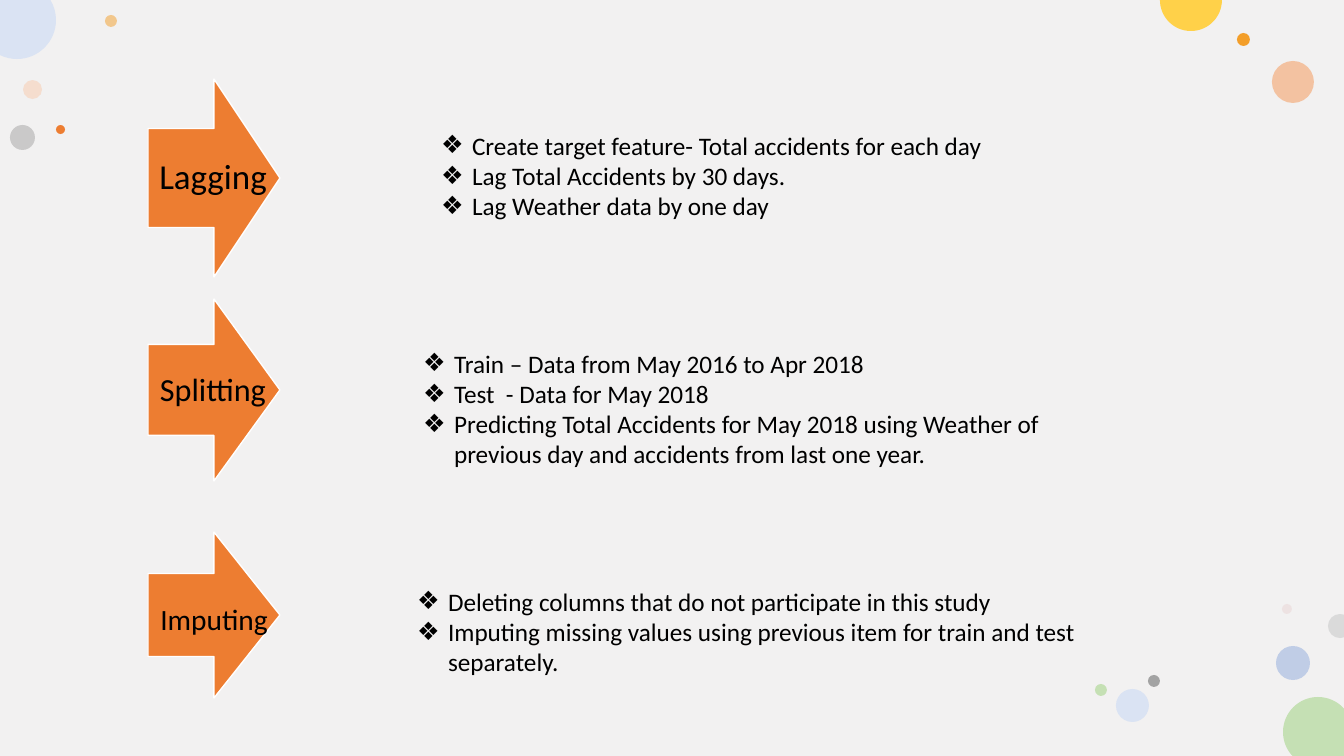
"""Build the slide on lagging, splitting and imputing the accident data."""
import math

import lxml.etree
import pptx
import pptx.dml.color
import pptx.enum.shapes
import pptx.enum.text
import pptx.oxml.ns
import pptx.util

RGBColor = pptx.dml.color.RGBColor
MSO_SHAPE = pptx.enum.shapes.MSO_SHAPE
MSO_ANCHOR = pptx.enum.text.MSO_ANCHOR
PP_ALIGN = pptx.enum.text.PP_ALIGN
Pt = pptx.util.Pt
qn = pptx.oxml.ns.qn

BACKGROUND = RGBColor(0xF2, 0xF1, 0xF1)
BLACK = RGBColor(0x00, 0x00, 0x00)
WHITE = RGBColor(0xFF, 0xFF, 0xFF)
ORANGE = RGBColor(0xED, 0x7D, 0x31)
AMBER = RGBColor(0xF3, 0x9E, 0x29)
YELLOW = RGBColor(0xFF, 0xD1, 0x49)
PEACH = RGBColor(0xF8, 0xCB, 0xAD)
SALMON = RGBColor(0xF4, 0xB1, 0x83)
ROSE = RGBColor(0xE3, 0xBE, 0xBE)
BLUE = RGBColor(0x8F, 0xAA, 0xDC)
PALE_BLUE = RGBColor(0xDA, 0xE3, 0xF3)
GREEN = RGBColor(0xC5, 0xE0, 0xB4)
GRAY = RGBColor(0xA3, 0xA3, 0xA3)
PALE_GRAY = RGBColor(0xDA, 0xDA, 0xDA)

FONT = "Calibri"
WIDTH, HEIGHT = 1344, 756
ARROW_LEFT, ARROW_WIDTH = 148, 132
LABEL_WIDTH, LABEL_HEIGHT = 108, 60
LIST_WIDTH, LIST_SIZE, INDENT = 681, 18, 31

STEPS = [
    {"label": "Lagging", "size": 25, "arrow": (79, 198), "label_center": (213, 178),
     "list_at": (431, 125, 163),
     "points": ["Create target feature- Total accidents for each day",
                "Lag Total Accidents by 30 days.",
                "Lag Weather data by one day"]},
    {"label": "Splitting", "size": 23, "arrow": (299, 182), "label_center": (213, 391),
     "list_at": (413, 343, 194),
     "points": ["Train – Data from May 2016 to Apr 2018",
                "Test  - Data for May 2018",
                "Predicting Total Accidents for May 2018 using Weather of "
                "previous day and accidents from last one year."]},
    {"label": "Imputing", "size": 21, "arrow": (532, 166), "label_center": (214, 621),
     "list_at": (407, 581, 163),
     "points": ["Deleting columns that do not participate in this study",
                "Imputing missing values using previous item for train and test "
                "separately."]},
]

BUBBLES = [
    (23, 80, 19, PEACH, 50), (105, 15, 12, AMBER, 50),
    (1276, 646, 34, BLUE, 50), (10, 125, 25, GRAY, 50),
    (1272, 61, 42, SALMON, 72), (1237, 33, 13, AMBER, 100),
    (1282, 604, 10, ROSE, 28), (1148, 675, 12, GRAY, 100),
    (1116, 689, 33, PALE_BLUE, 100), (1095, 684, 12, GREEN, 100),
    (56, 125, 9, ORANGE, 100),
]

EDGE_BUBBLES = [
    {"center": (1318, 732), "radius": 35, "angles": (137, 180, 270, 318),
     "corners": [(WIDTH, HEIGHT)], "color": GREEN},
    {"center": (17, 20), "radius": 39, "angles": (-31, 0, 90, 116),
     "corners": [(0, 0)], "color": PALE_BLUE},
    {"center": (1191, 0), "radius": 31, "angles": (0, 90, 180),
     "corners": [], "color": YELLOW},
    {"center": (1340, 626), "radius": 12, "angles": (71, 90, 180, 270, 289),
     "corners": [], "color": PALE_GRAY},
]


def px(length):
    return round(length * 914400 / 100.8)


def paint(shape, color):
    shape.shadow.inherit = False
    shape.fill.solid()
    shape.fill.fore_color.rgb = color
    shape.line.fill.background()


def style(paragraph, size):
    for run in paragraph.runs:
        run.font.name, run.font.size, run.font.bold = FONT, Pt(size), False
        run.font.color.rgb = BLACK


def add_bubble(slide, left, top, diameter, color, opacity):
    bubble = slide.shapes.add_shape(
        MSO_SHAPE.OVAL, px(left), px(top), px(diameter), px(diameter))
    paint(bubble, color)
    if opacity < 100:
        srgb = bubble.element.spPr.find(".//" + qn("a:srgbClr"))
        lxml.etree.SubElement(srgb, qn("a:alpha"), val=str(opacity * 1000))


def add_edge_bubble(slide, center, radius, angles, corners, color):
    def on_circle(degrees, pull=0):
        angle = math.radians(degrees)
        cos, sin = math.cos(angle), math.sin(angle)
        return (px(center[0] + radius * (cos - pull * sin)),
                px(center[1] + radius * (sin + pull * cos)))

    stops = [on_circle(angle) for angle in angles]
    builder = slide.shapes.build_freeform(*stops[0])
    builder.add_line_segments(
        stops[1:] + [(px(x), px(y)) for x, y in corners], close=True)
    bubble = builder.convert_to_shape()
    paint(bubble, color)

    lines = bubble.element.findall(".//" + qn("a:lnTo"))
    for line, start, end in zip(lines, angles, angles[1:]):
        pull = 4 / 3 * math.tan(math.radians(end - start) / 4)
        curve = lxml.etree.Element(qn("a:cubicBezTo"))
        for x, y in (on_circle(start, pull), on_circle(end, -pull), on_circle(end)):
            lxml.etree.SubElement(curve, qn("a:pt"), x=str(x - bubble.left),
                                  y=str(y - bubble.top))
        line.getparent().replace(line, curve)


def add_arrow(slide, step):
    top, height = step["arrow"]
    arrow = slide.shapes.add_shape(
        MSO_SHAPE.RIGHT_ARROW, px(ARROW_LEFT), px(top), px(ARROW_WIDTH), px(height))
    paint(arrow, ORANGE)
    arrow.line.color.rgb = WHITE
    arrow.line.width = Pt(1)

    center_x, center_y = step["label_center"]
    label = slide.shapes.add_textbox(
        px(center_x - LABEL_WIDTH / 2), px(center_y - LABEL_HEIGHT / 2),
        px(LABEL_WIDTH), px(LABEL_HEIGHT))
    frame = label.text_frame
    frame.margin_left = frame.margin_right = frame.margin_top = frame.margin_bottom = 0
    frame.word_wrap = False
    frame.vertical_anchor = MSO_ANCHOR.MIDDLE
    frame.text = step["label"]
    paragraph = frame.paragraphs[0]
    paragraph.alignment = PP_ALIGN.CENTER
    paragraph.line_spacing = 0.9
    style(paragraph, step["size"])


def fill_list(body, step):
    left, top, height = step["list_at"]
    body.left, body.top = px(left), px(top)
    body.width, body.height = px(LIST_WIDTH), px(height)
    frame = body.text_frame
    frame.text = "\n".join(step["points"])
    frame.word_wrap = True
    frame.auto_size = pptx.enum.text.MSO_AUTO_SIZE.NONE
    frame.vertical_anchor = MSO_ANCHOR.TOP
    for paragraph in frame.paragraphs:
        paragraph.alignment = PP_ALIGN.LEFT
        paragraph.line_spacing = 1.0
        paragraph.space_before = paragraph.space_after = Pt(0)
        style(paragraph, LIST_SIZE)
        properties = paragraph._p.get_or_add_pPr()
        properties.set("marL", str(px(INDENT)))
        properties.set("indent", str(-px(INDENT)))
        lxml.etree.SubElement(properties, qn("a:buChar"), char="❖")


def main():
    deck = pptx.Presentation()
    deck.slide_width, deck.slide_height = px(WIDTH), px(HEIGHT)
    slide = deck.slides.add_slide(deck.slide_layouts.get_by_name("Comparison"))
    title, *bodies = list(slide.placeholders)
    for unused in [title, *bodies[len(STEPS):]]:
        unused.element.getparent().remove(unused.element)

    backdrop = slide.shapes.add_shape(MSO_SHAPE.RECTANGLE, 0, 0, px(WIDTH), px(HEIGHT))
    paint(backdrop, BACKGROUND)
    for bubble in BUBBLES:
        add_bubble(slide, *bubble)
    for bubble in EDGE_BUBBLES:
        add_edge_bubble(slide, **bubble)
    for step in STEPS:
        add_arrow(slide, step)
    for body, step in zip(bodies, STEPS):
        fill_list(body, step)
        body.element.getparent().append(body.element)
    deck.save("out.pptx")


if __name__ == "__main__":
    main()
